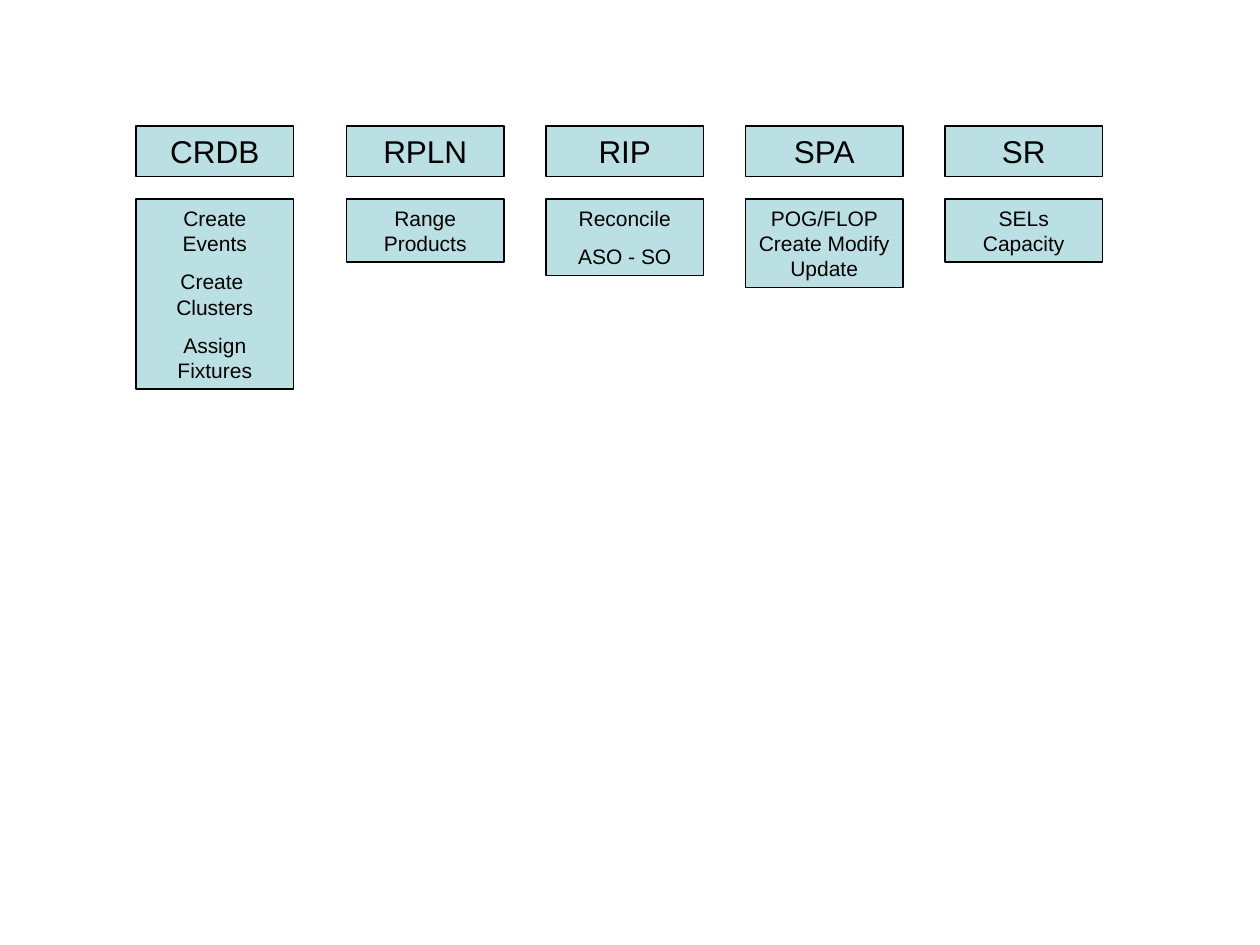
from dataclasses import dataclass

from pptx import Presentation, util as u
from pptx.dml.color import RGBColor
from pptx.enum import shapes, text


@dataclass(frozen=True)
class Theme:
    font: str = "Arial"
    fill: RGBColor = RGBColor(0xBB, 0xE0, 0xE3)
    ink: RGBColor = RGBColor(0, 0, 0)
    line: float = 0.75
    head_size: int = 18
    task_size: int = 12
    gap: float = 7.5


THEME = Theme()

# System, its tasks (\v is a line break), lines of text once wrapped
SYSTEMS = [
    ("CRDB", ["Create Events", "Create \vClusters", "Assign\vFixtures"], 6),
    ("RPLN", ["Range Products"], 2),
    ("RIP", ["Reconcile", "ASO - SO"], 2),
    ("SPA", ["POG/FLOP Create Modify\vUpdate"], 3),
    ("SR", ["SELs\vCapacity"], 2),
]

BOX_W, HEAD_H, LINE_H, PADDING = 1.25, 0.4, 0.2, 0.1
HEAD_TOP, TASK_TOP = 1, 1.58
FIRST_LEFT, SECOND_LEFT, LAST_LEFT = 1.08, 2.75, 7.5
PITCH = (LAST_LEFT - SECOND_LEFT) / (len(SYSTEMS) - 2)


def add_box(s, left, top, height, paragraphs, size):
    box = s.shapes.add_shape(shapes.MSO_SHAPE.RECTANGLE,
                             *map(u.Inches, (left, top, BOX_W, height)))
    box.shadow.inherit = False
    box.fill.solid()
    box.fill.fore_color.rgb = THEME.fill
    box.line.color.rgb = THEME.ink
    box.line.width = u.Pt(THEME.line)
    tf = box.text_frame
    tf.text = "\n".join(paragraphs)
    tf.word_wrap = True
    tf.auto_size = text.MSO_AUTO_SIZE.SHAPE_TO_FIT_TEXT
    tf.vertical_anchor = text.MSO_ANCHOR.TOP
    for i, p in enumerate(tf.paragraphs):
        p.alignment = text.PP_ALIGN.CENTER
        p.space_before = u.Pt(THEME.gap if i else 0)
        for r in p.runs:
            r.font.name = THEME.font
            r.font.size = u.Pt(size)
            r.font.color.rgb = THEME.ink


def main():
    prs = Presentation()
    prs.slide_width, prs.slide_height = u.Inches(10), u.Inches(7.5)
    s = prs.slides.add_slide(prs.slide_layouts[6])
    for i, (system, tasks, lines) in enumerate(SYSTEMS):
        left = SECOND_LEFT + (i - 1) * PITCH if i else FIRST_LEFT
        task_h = PADDING + lines * LINE_H + (len(tasks) - 1) * THEME.gap / 72
        add_box(s, left, HEAD_TOP, HEAD_H, [system], THEME.head_size)
        add_box(s, left, TASK_TOP, task_h, tasks, THEME.task_size)
    prs.save("out.pptx")


if __name__ == "__main__":
    main()
